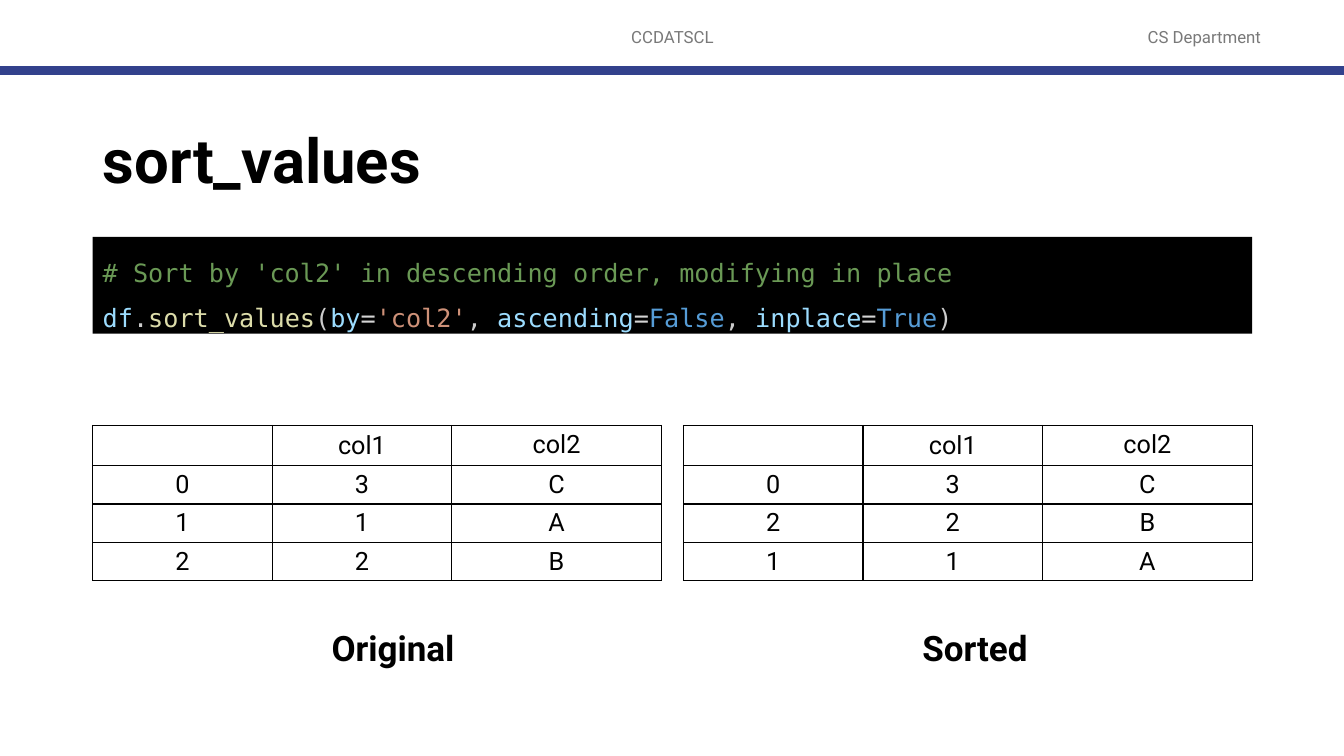
"""Build the sort_values slide: a code sample with tables before and after sorting."""
from lxml import etree
from pptx import Presentation
from pptx.dml.color import RGBColor
from pptx.enum import shapes, text
from pptx.oxml import parse_xml
from pptx.oxml.ns import nsdecls, qn
from pptx.util import Inches, Pt

BLACK = RGBColor(0x00, 0x00, 0x00)
GREY = RGBColor(0x79, 0x79, 0x79)
NAVY = RGBColor(0x32, 0x41, 0x8C)
COMMENT = RGBColor(0x6A, 0x99, 0x55)
VARIABLE = RGBColor(0x9C, 0xDC, 0xFE)
PUNCTUATION = RGBColor(0xCC, 0xCC, 0xCC)
FUNCTION = RGBColor(0xDC, 0xDC, 0xAA)
OPERATOR = RGBColor(0xD4, 0xD4, 0xD4)
STRING = RGBColor(0xCE, 0x91, 0x78)
CONSTANT = RGBColor(0x56, 0x9C, 0xD6)

LEFT = 0.92
TABLE_STEP = 5.86
COLUMN_WIDTHS = [1.78, 1.78, 2.08]
ROW_HEIGHTS = [0.4, 0.38, 0.38, 0.38]
CENTER = text.PP_ALIGN.CENTER
MIDDLE = text.MSO_ANCHOR.MIDDLE

CODE = [
    [("# Sort by 'col2' in descending order, modifying in place", COMMENT)],
    [("df", VARIABLE), (".", PUNCTUATION), ("sort_values", FUNCTION), ("(", PUNCTUATION),
     ("by", VARIABLE), ("=", OPERATOR), ("'col2'", STRING), (", ", PUNCTUATION),
     ("ascending", VARIABLE), ("=", OPERATOR), ("False", CONSTANT), (", ", PUNCTUATION),
     ("inplace", VARIABLE), ("=", OPERATOR), ("True", CONSTANT), (")", PUNCTUATION)],
]
HEADER = ("", "col1", "col2")
TABLES = [
    ("Original", 1.53, [HEADER, ("0", "3", "C"), ("1", "1", "A"), ("2", "2", "B")]),
    ("Sorted", 1.27, [HEADER, ("0", "3", "C"), ("2", "2", "B"), ("1", "1", "A")]),
]


def style(paragraph, size, color=BLACK, bold=False, align=None):
    paragraph.alignment = align
    paragraph.font.name = "Roboto"
    paragraph.font.size = Pt(size)
    paragraph.font.bold = bold
    paragraph.font.color.rgb = color


def add_text(words, left, top, width, height, size, **look):
    frame = slide.shapes.add_textbox(
        Inches(left), Inches(top), Inches(width), Inches(height)).text_frame
    frame.word_wrap = True
    frame.vertical_anchor = MIDDLE
    frame.text = words
    style(frame.paragraphs[0], size, **look)
    return frame


prs = Presentation()
prs.slide_width, prs.slide_height = Inches(13.33), Inches(7.5)
slide = prs.slides.add_slide(prs.slide_layouts[6])

add_text("CCDATSCL", 4.42, 0.17, 4.5, 0.4, 12, color=GREY, align=CENTER)
add_text("CS Department", 10.92, 0.17, 2.05, 0.4, 12, color=GREY, align=CENTER)

header_rule = slide.shapes.add_connector(
    shapes.MSO_CONNECTOR.STRAIGHT, 0, Inches(0.7), prs.slide_width, Inches(0.7))
header_rule.line.color.rgb = NAVY
header_rule.line.width = Pt(6)
etree.SubElement(header_rule._element.spPr, qn("a:effectLst"))

title = add_text("sort_values", LEFT, 0.9, 11.5, 1.45, 44, bold=True)
title.paragraphs[0].line_spacing = 0.9

code_box = slide.shapes.add_shape(
    shapes.MSO_SHAPE.RECTANGLE, Inches(LEFT), Inches(2.35), Inches(11.5), Inches(0.96))
code_box.shadow.inherit = False
code_box.fill.solid()
code_box.fill.fore_color.rgb = BLACK
code_box.line.fill.background()
code_frame = code_box.text_frame
code_frame.word_wrap = True
code_frame.vertical_anchor = text.MSO_ANCHOR.TOP
code_frame.auto_size = text.MSO_AUTO_SIZE.SHAPE_TO_FIT_TEXT
code_frame.add_paragraph()
for paragraph, tokens in zip(code_frame.paragraphs, CODE):
    paragraph.alignment = text.PP_ALIGN.LEFT
    paragraph.line_spacing = 1.5
    paragraph.font.name = "DejaVu Sans Mono"
    paragraph.font.size = Pt(18)
    for token, color in tokens:
        run = paragraph.add_run()
        run.text = token
        run.font.color.rgb = color

for index, (caption, caption_width, rows) in enumerate(TABLES):
    offset = index * TABLE_STEP
    table = slide.shapes.add_table(
        len(rows), len(HEADER), Inches(LEFT + offset), Inches(4.22),
        Inches(sum(COLUMN_WIDTHS)), Inches(sum(ROW_HEIGHTS))).table
    table.first_row = table.horz_banding = False
    for column, width in zip(table.columns, COLUMN_WIDTHS):
        column.width = Inches(width)
    for row, height, values in zip(table.rows, ROW_HEIGHTS, rows):
        row.height = Inches(height)
        for cell, value in zip(row.cells, values):
            cell.text = value
            style(cell.text_frame.paragraphs[0], 18, align=CENTER)
            if value != "col2":
                cell.vertical_anchor = MIDDLE
                cell.margin_left = cell.margin_right = Inches(0.08)
                cell.margin_top = cell.margin_bottom = Inches(0.04)
            properties = cell._tc.get_or_add_tcPr()
            for side in "LRTB":
                properties.append(parse_xml(
                    f'<a:ln{side} {nsdecls("a")} w="{Pt(1)}"><a:solidFill>'
                    f'<a:srgbClr val="{BLACK}"/></a:solidFill></a:ln{side}>'))
            cell.fill.background()
    label = add_text(caption, 3.19 + offset, 6.17, caption_width, 0.52, 25, bold=True)
    label.word_wrap = False
    label.vertical_anchor = text.MSO_ANCHOR.TOP
    label.auto_size = text.MSO_AUTO_SIZE.SHAPE_TO_FIT_TEXT

prs.save("out.pptx")
